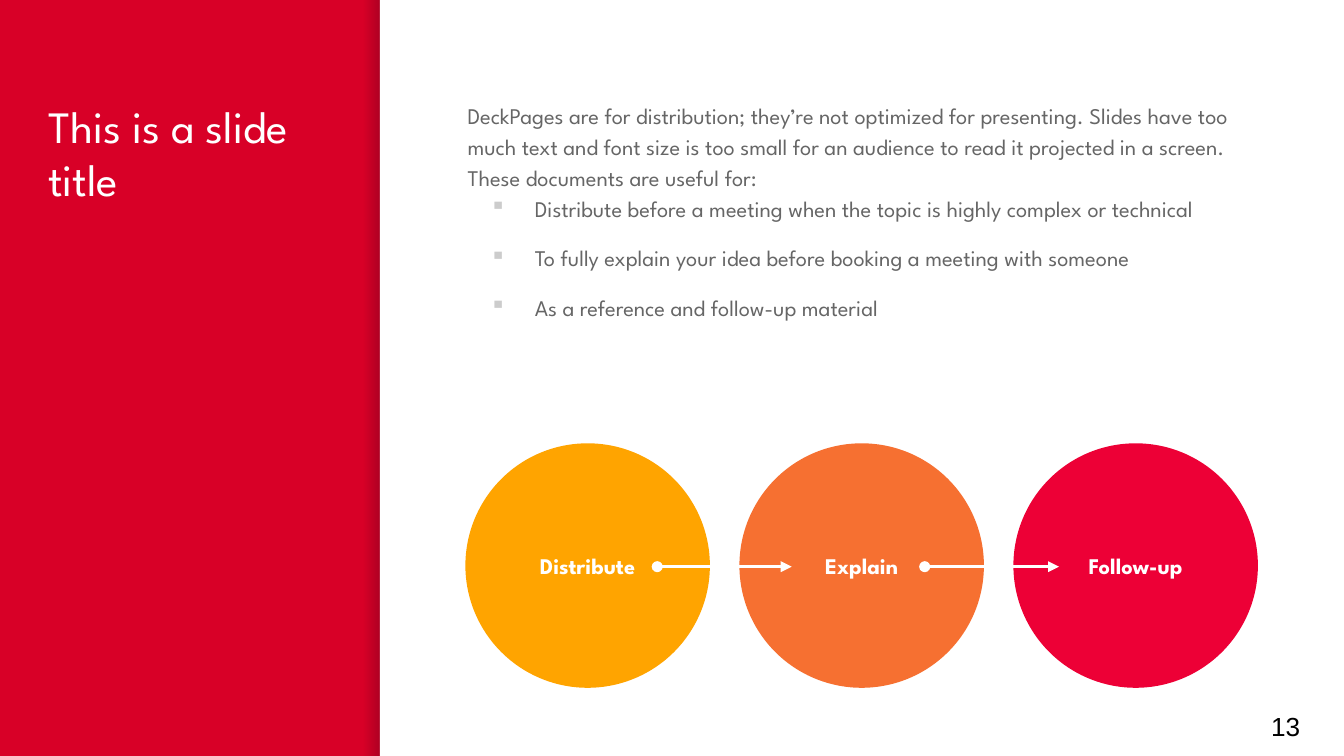
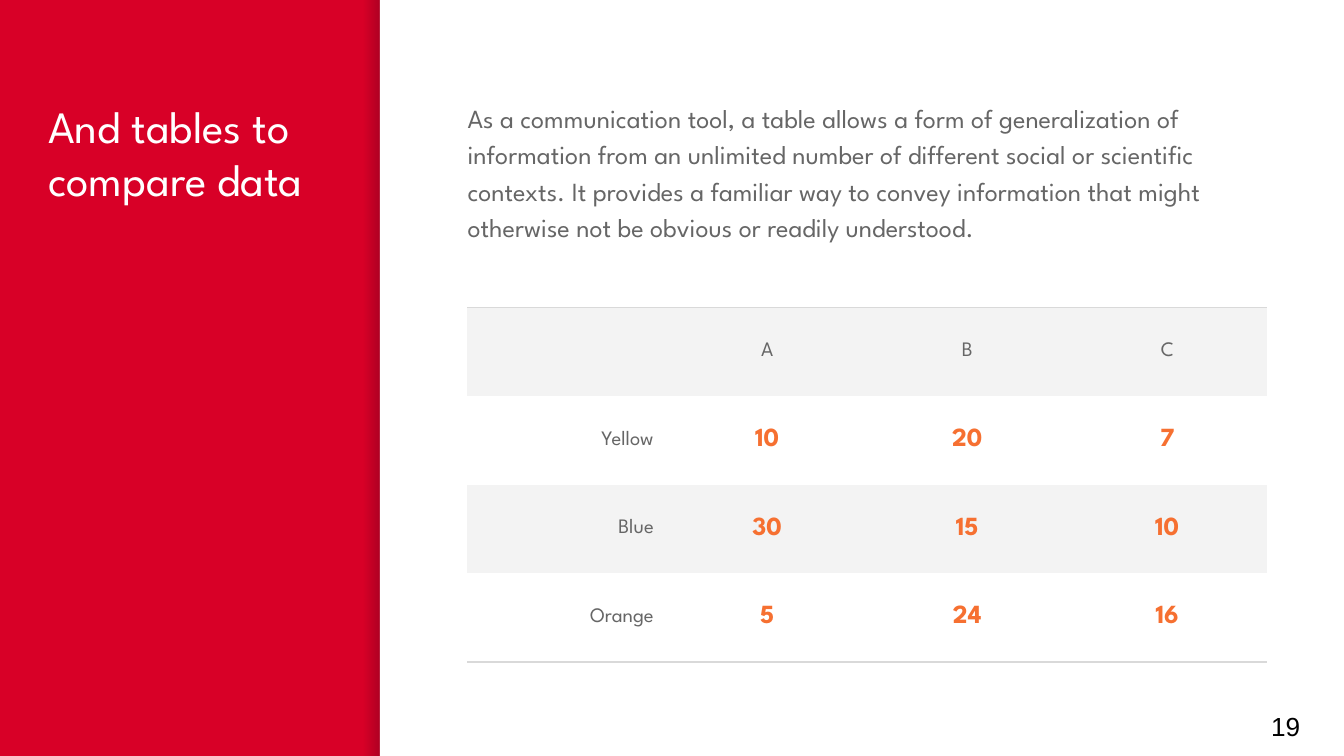
"""Build two slides: a follow-up process and a comparison table."""
from lxml import etree
from pptx import Presentation
from pptx import util as u
from pptx.dml import color
from pptx.enum import shapes, text
from pptx.oxml import ns

Pt = u.Pt
COLOURS = {
    "band": "D80027", "shade": "000014", "white": "FFFFFF", "black": "000000",
    "body": "666666", "bullet": "CCCCCC", "rule": "D9D9D9", "stripe": "F3F3F3",
    "yellow": "FFA400", "orange": "F67031", "red": "ED0036",
}
ALIGN = text.PP_ALIGN
MIDDLE = text.MSO_ANCHOR.MIDDLE


def rgb(name):
    return color.RGBColor.from_string(COLOURS[name])


def child(parent, tag, **attributes):
    return etree.SubElement(parent, ns.qn(tag), attributes)


class Deck:
    font = "League Spartan"
    inset = 7.2

    def __init__(self, width, height):
        self.deck = Presentation()
        self.width, self.height = width, height
        self.deck.slide_width, self.deck.slide_height = Pt(width), Pt(height)
        self.page = None

    def new_page(self, title, number):
        self.page = self.deck.slides.add_slide(self.deck.slide_layouts[6])
        fill = self.page.background.fill
        fill.solid()
        fill.fore_color.rgb = rgb("band")
        self.edge_shade(194.6, 8.9)
        self.shape(shapes.MSO_SHAPE.RECTANGLE, 203.5, 0, self.width - 203.5, self.height, "white")
        self.text_box(18.7, 45.4, 161.3, 313.2, [title], 24, "white")
        self.text_box(673.9, 373.7, 43.2, 31, [number], 14, "black", font="Arial", anchor=MIDDLE)

    def shape(self, kind, left, top, width, height, fill=None):
        shape = self.page.shapes.add_shape(kind, Pt(left), Pt(top), Pt(width), Pt(height))
        shape.shadow.inherit = False
        shape.line.fill.background()
        if fill:
            shape.fill.solid()
            shape.fill.fore_color.rgb = rgb(fill)
        return shape

    def edge_shade(self, left, width):
        shape = self.shape(shapes.MSO_SHAPE.RECTANGLE, left, 0, width, self.height)
        shape.fill.gradient()
        shape.fill.gradient_angle = 0
        for stop in shape.fill.gradient_stops:
            stop.color.rgb = rgb("shade")
        for node, alpha in zip(shape._element.spPr.iter(ns.qn("a:srgbClr")), ("0", "20000")):
            child(node, "a:alpha", val=alpha)

    def frame(self, frame, anchor=text.MSO_ANCHOR.TOP):
        frame.word_wrap = True
        frame.vertical_anchor = anchor
        frame.margin_left = frame.margin_right = Pt(self.inset)
        frame.margin_top = frame.margin_bottom = Pt(self.inset)

    def add_span(self, para, words, size, colour, bold=False, align=ALIGN.LEFT, font=None):
        para.alignment = align
        span = para.add_run()
        span.text = words
        span.font.name = font or self.font
        span.font.size, span.font.bold = Pt(size), bold
        span.font.color.rgb = rgb(colour)

    def text_box(self, left, top, width, height, lines, size, colour,
                 bullets=(), spacing=None, font=None, anchor=text.MSO_ANCHOR.TOP):
        box = self.page.shapes.add_textbox(Pt(left), Pt(top), Pt(width), Pt(height))
        self.frame(box.text_frame, anchor)
        for index, words in enumerate([*lines, *bullets]):
            para = box.text_frame.add_paragraph() if index else box.text_frame.paragraphs[0]
            para.line_spacing = spacing
            self.add_span(para, words, size, colour, font=font)
            if index >= len(lines):
                self.bullet(para)

    def bullet(self, para):
        para.space_after = Pt(10)
        props = para._p.get_or_add_pPr()
        props.set("marL", str(Pt(36)))
        props.set("indent", str(Pt(-24)))
        child(child(props, "a:buClr"), "a:srgbClr", val=COLOURS["bullet"])
        child(props, "a:buChar", char="▪")

    def body(self, height, lines, size, bullets=()):
        self.text_box(243.4, 45.4, 440.6, height, lines, size, "body", bullets, spacing=1.15)

    def circle(self, left, top, size, label, fill):
        shape = self.shape(shapes.MSO_SHAPE.OVAL, left, top, size, size, fill)
        self.frame(shape.text_frame, MIDDLE)
        self.add_span(shape.text_frame.paragraphs[0], label, 12, "white", True, ALIGN.CENTER)

    def arrow(self, left, right, y):
        line = self.page.shapes.add_connector(
            shapes.MSO_CONNECTOR.STRAIGHT, Pt(left), Pt(y), Pt(right), Pt(y))
        line.line.width = Pt(1.5)
        line.line.color.rgb = rgb("white")
        ends = line._element.spPr.find(ns.qn("a:ln"))
        child(ends, "a:headEnd", type="oval")
        child(ends, "a:tailEnd", type="triangle")
        child(line._element.spPr, "a:effectLst")

    def borders(self, cell, ruled):
        props = cell._tc.get_or_add_tcPr()
        for index, side in enumerate(("L", "R", "T", "B")):
            line = etree.Element(ns.qn("a:ln" + side), w=str(Pt(0.75)))
            if side in ruled:
                child(child(line, "a:solidFill"), "a:srgbClr", val=COLOURS["rule"])
            else:
                child(line, "a:noFill")
            props.insert(index, line)

    def table(self, left, top, column, row, rows):
        count, last = len(rows[0]), len(rows) - 1
        table = self.page.shapes.add_table(
            len(rows), count, Pt(left), Pt(top), Pt(column * count), Pt(row * len(rows))).table
        table.first_row = table.horz_banding = False
        for item in table.columns:
            item.width = Pt(column)
        for r, values in enumerate(rows):
            table.rows[r].height = Pt(row)
            for c, value in enumerate(values):
                self.cell(table.cell(r, c), value, r, c)
                self.borders(table.cell(r, c), {0: "T", last: "B"}.get(r, ""))

    def cell(self, cell, value, r, c):
        cell.vertical_anchor = MIDDLE
        cell.margin_left = cell.margin_right = Pt(self.inset)
        cell.margin_top = cell.margin_bottom = Pt(5)
        if r % 2:
            cell.fill.background()
        else:
            cell.fill.solid()
            cell.fill.fore_color.rgb = rgb("stripe")
        if value:
            figure = r > 0 and c > 0
            self.add_span(cell.text_frame.paragraphs[0], value, 14 if figure else 11,
                          "orange" if figure else "body", figure,
                          ALIGN.CENTER if c else ALIGN.RIGHT)


def main():
    deck = Deck(720, 405)

    deck.new_page("This is a slide title", "13")
    deck.body(217.4, [
        "DeckPages are for distribution; they’re not optimized for presenting. Slides have too "
        "much text and font size is too small for an audience to read it projected in a screen.",
        "These documents are useful for:",
    ], 12, [
        "Distribute before a meeting when the topic is highly complex or technical",
        "To fully explain your idea before booking a meeting with someone",
        "As a reference and follow-up material",
    ])
    steps = [("Distribute", "yellow"), ("Explain", "orange"), ("Follow-up", "red")]
    for index, (label, fill) in enumerate(steps):
        deck.circle(249.3 + 146.8 * index, 237.5, 131, label, fill)
    for index in range(len(steps) - 1):
        left = 352.1 + 143.3 * index
        deck.arrow(left, left + 72, 303.6)

    deck.new_page("And tables to compare data", "19")
    deck.table(250.3, 164.7, 107.15, 47.5, [
        ["", "A", "B", "C"],
        ["Yellow", "10", "20", "7"],
        ["Blue", "30", "15", "10"],
        ["Orange", "5", "24", "16"],
    ])
    deck.body(83.5, [
        "As a communication tool, a table allows a form of generalization of information from an "
        "unlimited number of different social or scientific contexts. It provides a familiar way "
        "to convey information that might otherwise not be obvious or readily understood.",
    ], 14)

    deck.deck.save("out.pptx")


if __name__ == "__main__":
    main()
